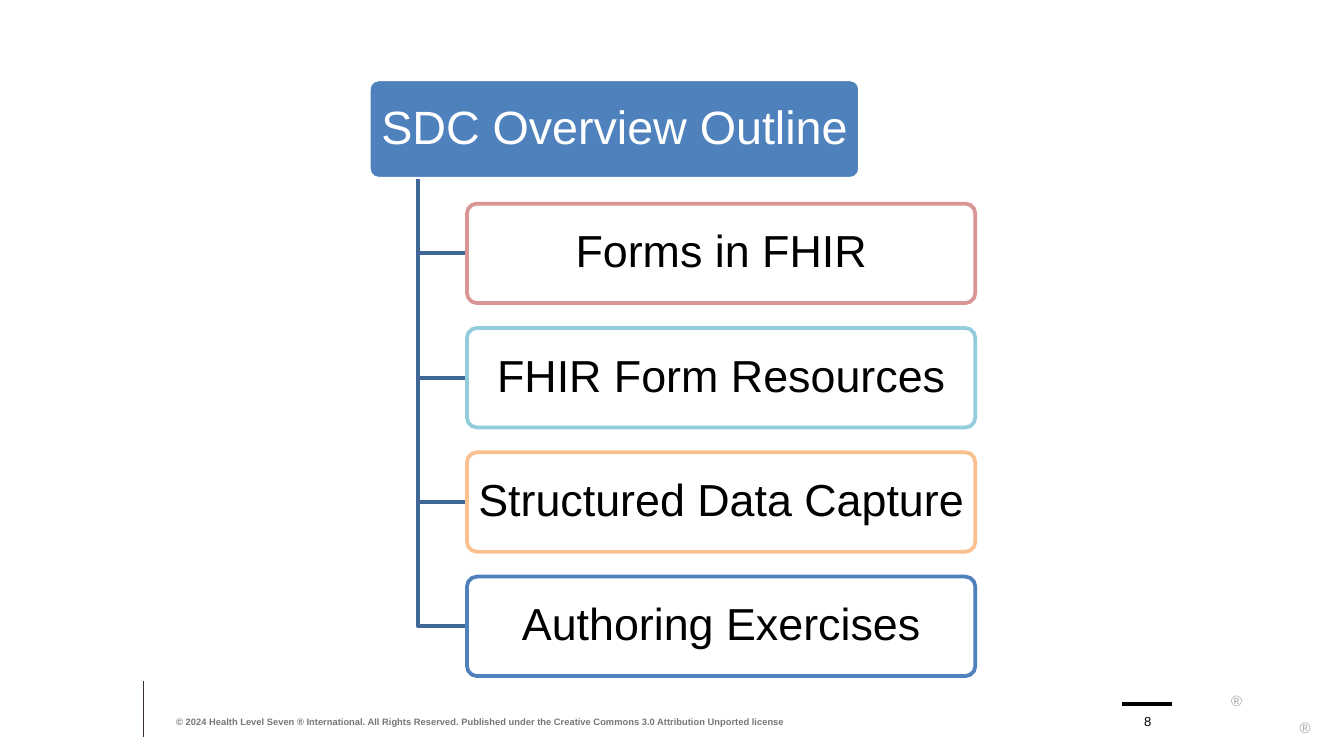
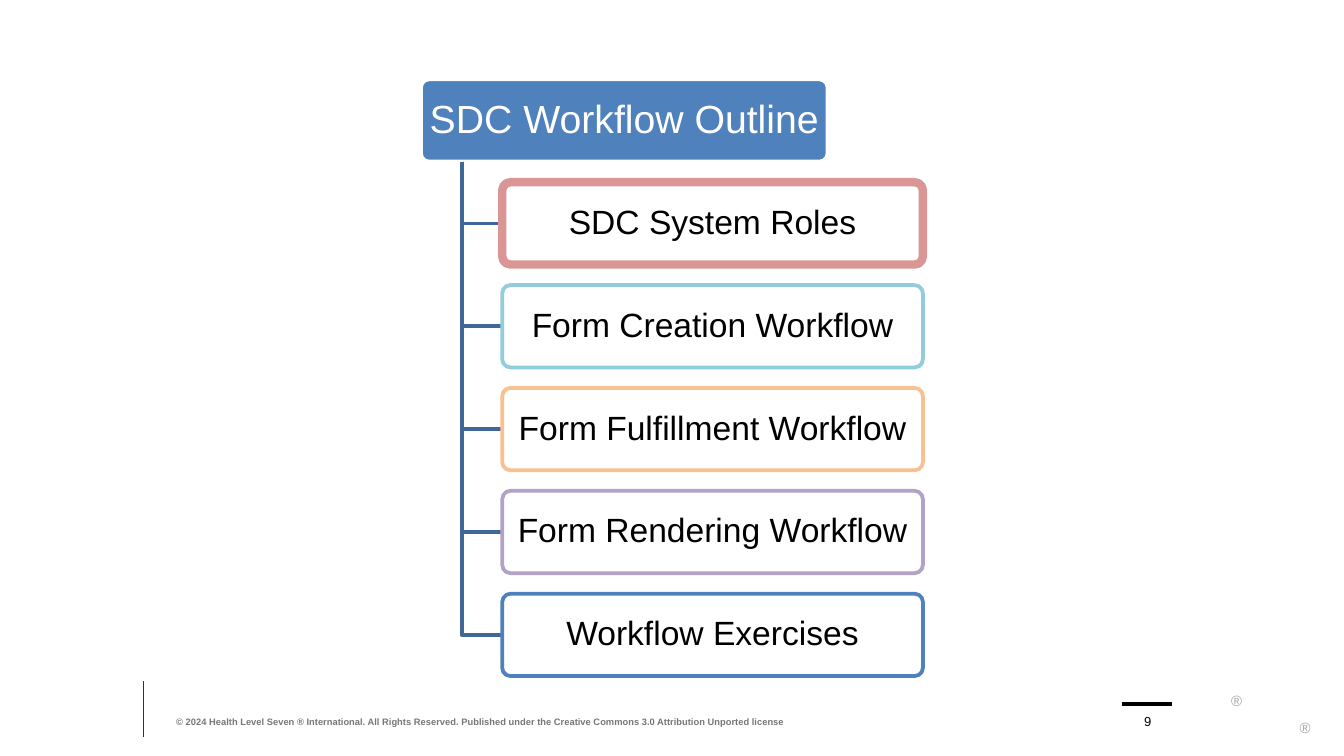
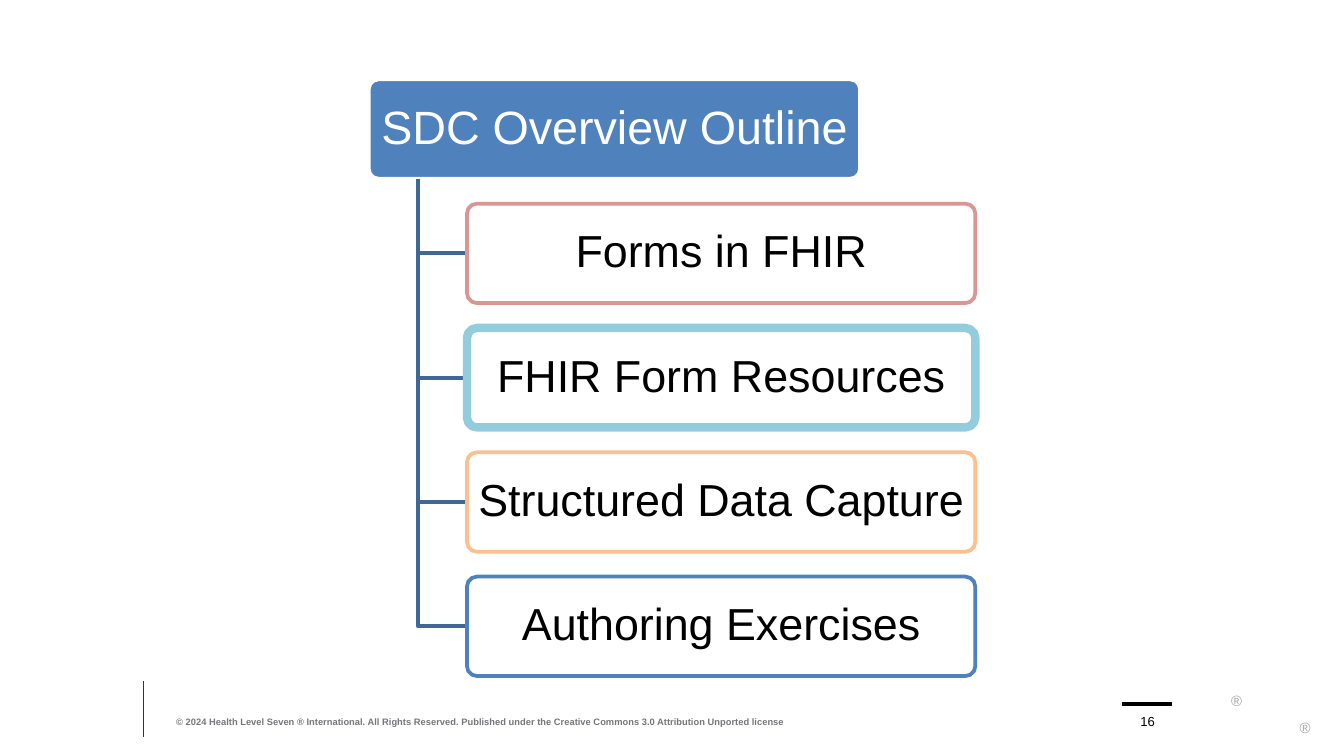
from pptx import Presentation
from pptx.dml.color import RGBColor
from pptx.enum.shapes import MSO_CONNECTOR, MSO_SHAPE
from pptx.enum.text import MSO_ANCHOR, MSO_AUTO_SIZE, PP_ALIGN
from pptx.oxml.ns import qn
from pptx.util import Cm, Pt
from lxml import etree

STRAIGHT = MSO_CONNECTOR.STRAIGHT
ROUNDED = MSO_SHAPE.ROUNDED_RECTANGLE
TOP, MIDDLE, BOTTOM = MSO_ANCHOR.TOP, MSO_ANCHOR.MIDDLE, MSO_ANCHOR.BOTTOM
LEFT, CENTER = PP_ALIGN.LEFT, PP_ALIGN.CENTER

BLACK = RGBColor(0x00, 0x00, 0x00)
WHITE = RGBColor(0xFF, 0xFF, 0xFF)
BLUE = RGBColor(0x4F, 0x81, 0xBD)
BRANCH_BLUE = RGBColor(0x3F, 0x67, 0x97)
ROSE = RGBColor(0xD9, 0x96, 0x94)
AQUA = RGBColor(0x93, 0xCD, 0xDD)
ORANGE = RGBColor(0xFA, 0xC0, 0x90)
PURPLE = RGBColor(0xB3, 0xA2, 0xC7)
BROWN = RGBColor(0x3D, 0x30, 0x29)
FOOTER_GREY = RGBColor(0x74, 0x76, 0x79)
MARK_GREY = RGBColor(0xA6, 0xA6, 0xA6)

FONT = "Arial"
SLIDE_WIDTH, SLIDE_HEIGHT = 25.4, 14.29

# Outline tree: its proportions are multiples of the box height
TREE_TOP, TREE_HEIGHT = 1.5, 11.28
PITCH = 1.25
ROOT_WIDTH, TOPIC_WIDTH = 4.94, 5.11
INDENT = ROOT_WIDTH * 0.2

COPYRIGHT = ("© 2024 Health Level Seven ® International. All Rights Reserved. "
             "Published under the Creative Commons 3.0 Attribution Unported license")

OVERVIEW = [("Forms in FHIR", ROSE), ("FHIR Form Resources", AQUA),
            ("Structured Data Capture", ORANGE), ("Authoring Exercises", BLUE)]
WORKFLOW = [("SDC System Roles", ROSE), ("Form Creation Workflow", AQUA),
            ("Form Fulfillment Workflow", ORANGE), ("Form Rendering Workflow", PURPLE),
            ("Workflow Exercises", BLUE)]

# Page number, title, title size, topics, topic size, highlighted topic
OUTLINES = [
    (8, "SDC Overview Outline", 25, OVERVIEW, 24, None),
    (9, "SDC Workflow Outline", 21, WORKFLOW, 18, "SDC System Roles"),
    (16, "SDC Overview Outline", 25, OVERVIEW, 24, "FHIR Form Resources"),
]


def write(shape, text, size, color, align=LEFT, anchor=TOP, bold=False,
          margins=(0, 0), spacing=None):
    frame = shape.text_frame
    frame.text = text
    frame.word_wrap = True
    frame.auto_size = MSO_AUTO_SIZE.NONE
    frame.vertical_anchor = anchor
    frame.margin_left = frame.margin_right = Cm(margins[0])
    frame.margin_top = frame.margin_bottom = Cm(margins[1])
    paragraph = frame.paragraphs[0]
    paragraph.alignment = align
    paragraph.line_spacing = spacing
    font = paragraph.font
    font.name, font.size, font.bold = FONT, Pt(size), bold
    font.color.rgb = color


def add_label(slide, left, top, width, height, text, size, color, **style):
    label = slide.shapes.add_textbox(Cm(left), Cm(top), Cm(width), Cm(height))
    write(label, text, size, color, **style)


def add_rule(slide, x1, y1, x2, y2, color, weight):
    rule = slide.shapes.add_connector(STRAIGHT, Cm(x1), Cm(y1), Cm(x2), Cm(y2))
    rule.line.color.rgb = color
    rule.line.width = Pt(weight)
    etree.SubElement(rule._element.spPr, qn("a:effectLst"))


def add_box(slide, left, top, width, height, fill, border, weight):
    box = slide.shapes.add_shape(ROUNDED, Cm(left), Cm(top), Cm(width), Cm(height))
    box.adjustments[0] = 0.1
    box.shadow.inherit = False
    box.fill.solid()
    box.fill.fore_color.rgb = fill
    box.line.color.rgb = border
    box.line.width = Pt(weight)
    return box


def set_opacity(shape, percent):
    color = shape._element.spPr.find(qn("a:solidFill"))[0]
    etree.SubElement(color, qn("a:alpha"), val=str(percent * 1000))


def add_branch(slide, trunk_x, start_y, end_x, end_y):
    builder = slide.shapes.build_freeform(Cm(trunk_x), Cm(start_y))
    builder.add_line_segments([(Cm(trunk_x), Cm(end_y)), (Cm(end_x), Cm(end_y))],
                              close=False)
    branch = builder.convert_to_shape()
    branch.shadow.inherit = False
    branch.fill.background()
    branch.line.color.rgb = BRANCH_BLUE
    branch.line.width = Pt(2)


def add_footer(slide, page):
    add_rule(slide, 2.72, 12.88, 2.72, 13.94, BROWN, 0.5)
    for left, top in ((23.27, 12.95), (24.56, 13.46)):
        add_label(slide, left, top, 0.28, 0.5, "®", 8, MARK_GREY, margins=(0, 0.13))
    add_rule(slide, 21.21, 13.31, 22.15, 13.31, BLACK, 2)
    add_label(slide, 3.33, 13.31, 12.57, 0.43, COPYRIGHT, 5, FOOTER_GREY,
              anchor=BOTTOM, bold=True)
    add_label(slide, 21.31, 13.31, 0.76, 0.48, str(page), 7, BLACK,
              align=CENTER, anchor=BOTTOM)


def add_title(slide, text, size, left, top, width, height):
    add_box(slide, left, top, width, height, BLUE, WHITE, 2)
    title = slide.shapes.title
    title.left, title.top = Cm(left), Cm(top)
    title.width, title.height = Cm(width), Cm(height)
    write(title, text, size, WHITE, align=CENTER, anchor=MIDDLE,
          margins=(0.1, 0.08), spacing=0.9)
    slide.shapes._spTree.append(title._element)  # bring the text above its box


def add_outline(slide, title, title_size, topics, topic_size, highlighted):
    height = TREE_HEIGHT / (1 + PITCH * len(topics))
    root_left = (SLIDE_WIDTH - (INDENT + TOPIC_WIDTH) * height) / 2
    topic_left = root_left + INDENT * height
    trunk_x = (root_left + topic_left) / 2
    add_title(slide, title, title_size, root_left, TREE_TOP, ROOT_WIDTH * height, height)

    for row, (topic, color) in enumerate(topics, start=1):
        top = TREE_TOP + row * PITCH * height
        add_branch(slide, trunk_x, TREE_TOP + height, topic_left, top + height / 2)
        weight = 4.5 if topic == highlighted else 2
        box = add_box(slide, topic_left, top, TOPIC_WIDTH * height, height,
                      WHITE, color, weight)
        set_opacity(box, 90)
        write(box, topic, topic_size, BLACK, align=CENTER, anchor=MIDDLE,
              margins=(0.1, 0.08), spacing=0.9)


def main():
    deck = Presentation()
    deck.slide_width, deck.slide_height = Cm(SLIDE_WIDTH), Cm(SLIDE_HEIGHT)
    title_only = deck.slide_layouts[5]
    for page, *outline in OUTLINES:
        slide = deck.slides.add_slide(title_only)
        add_footer(slide, page)
        add_outline(slide, *outline)
    deck.save("out.pptx")


if __name__ == "__main__":
    main()
